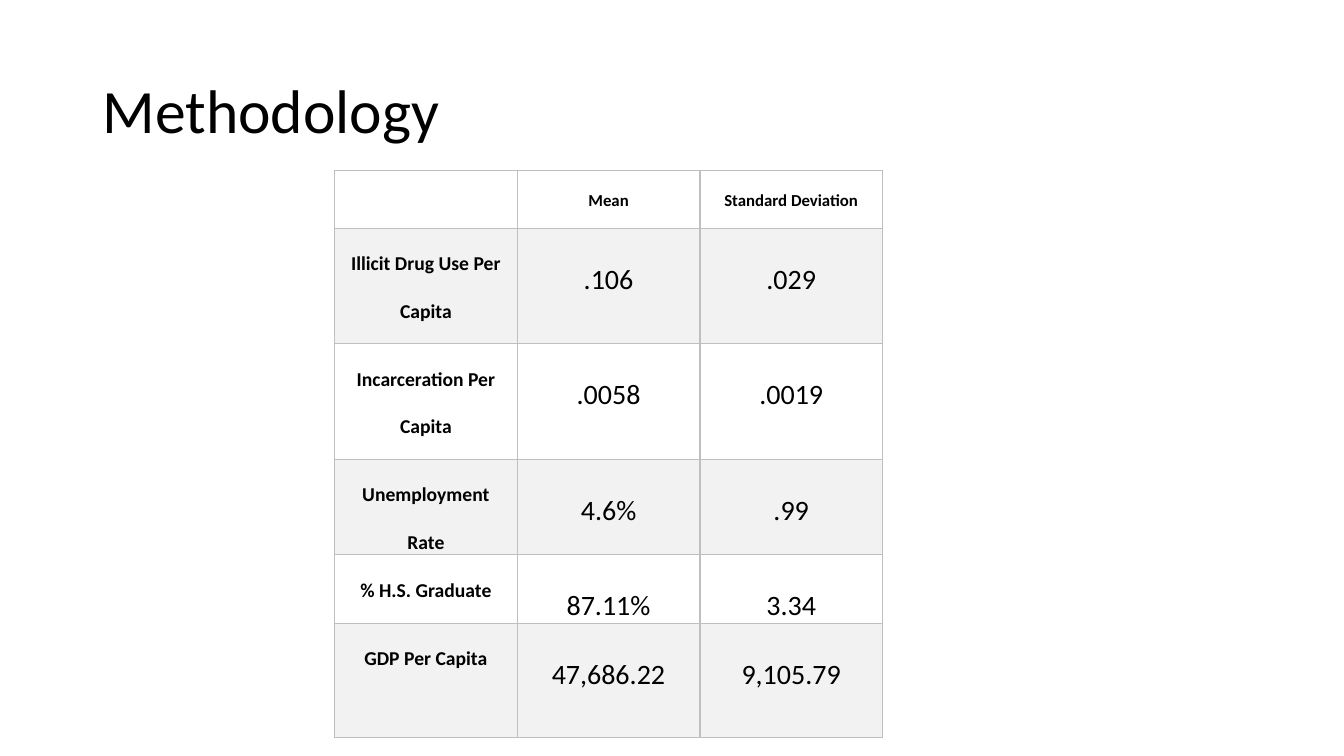
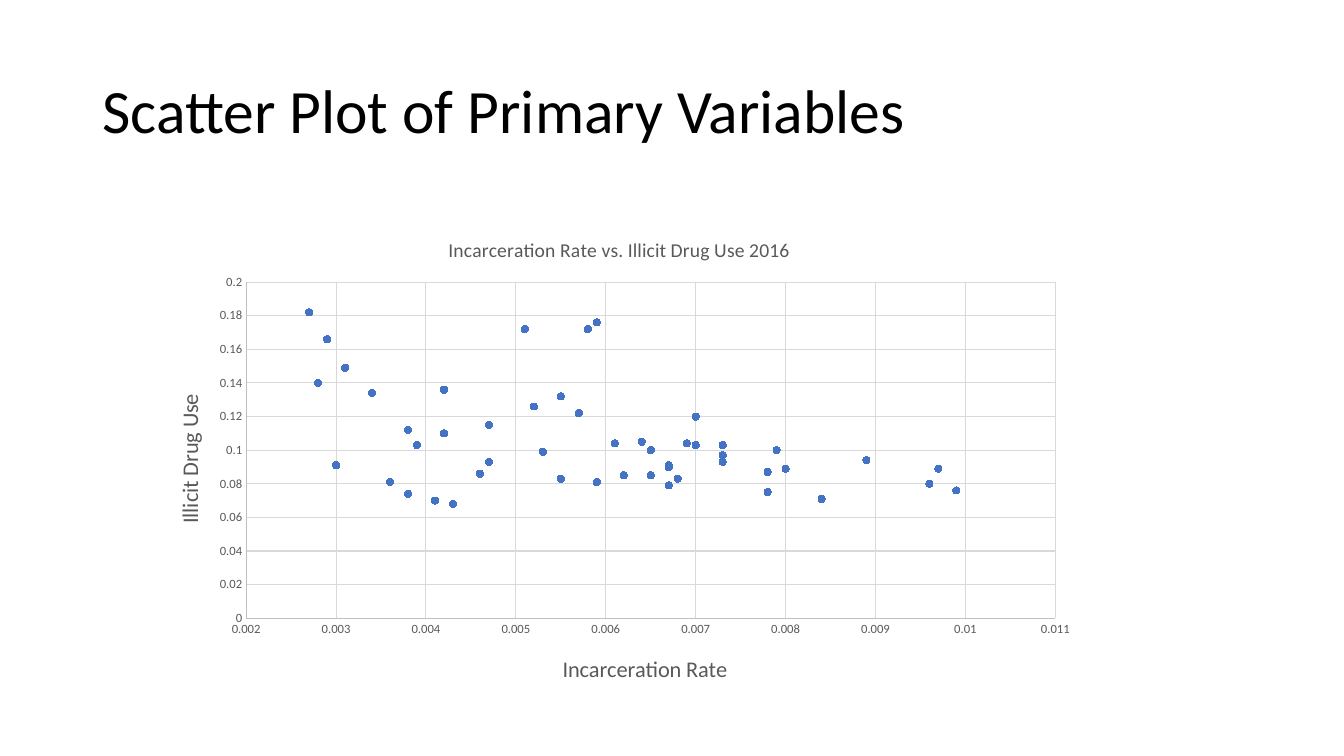
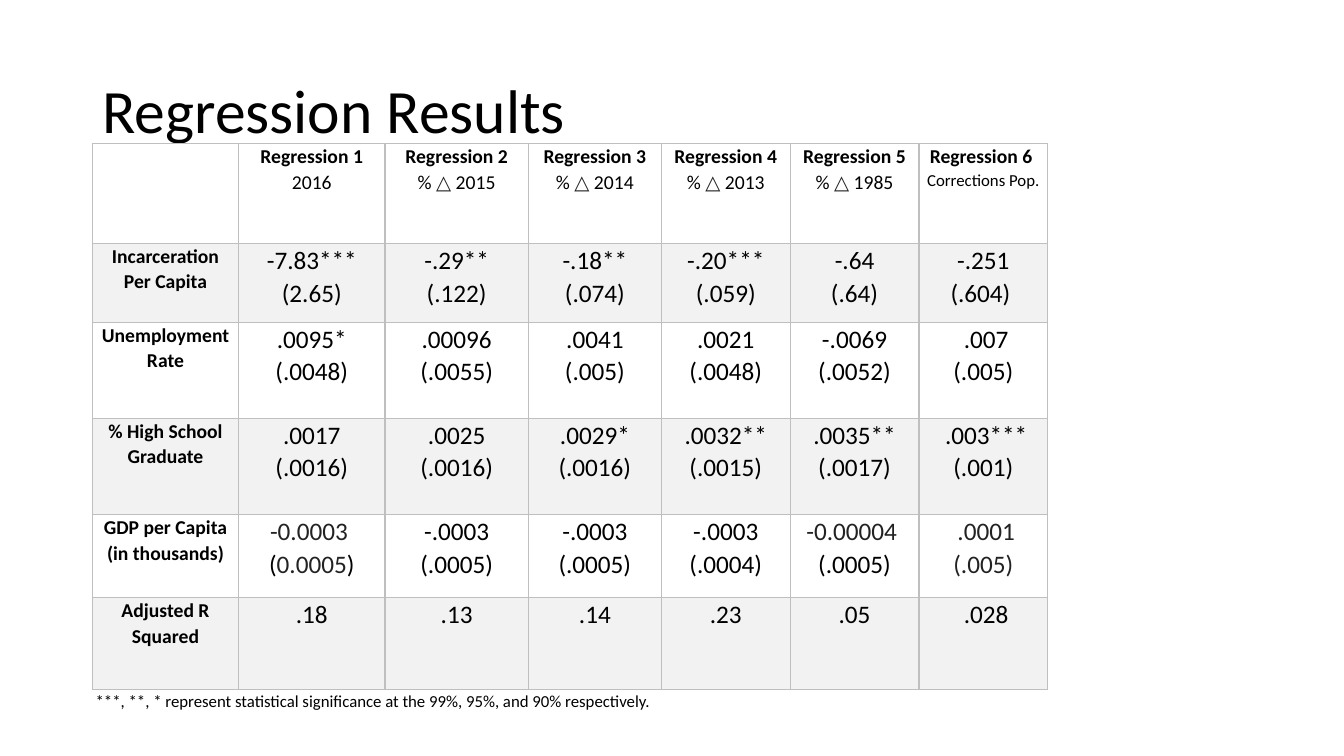
from itertools import product

from lxml import etree
from pptx import Presentation
from pptx.chart.data import XyChartData
from pptx.dml.color import RGBColor
from pptx.enum.chart import XL_CHART_TYPE as ChartType
from pptx.enum.chart import XL_MARKER_STYLE as Marker
from pptx.enum.chart import XL_TICK_MARK as Tick
from pptx.enum.text import MSO_ANCHOR as Anchor
from pptx.enum.text import PP_ALIGN as Align
from pptx.oxml import parse_xml
from pptx.oxml.ns import nsdecls, qn
from pptx.util import Pt

# Content: text between ~ marks is dark grey instead of black
SUMMARY = [
    ("", "Mean", "Standard Deviation"),
    ("Illicit Drug Use Per Capita", ".106", ".029"),
    ("Incarceration Per Capita", ".0058", ".0019"),
    ("Unemployment Rate", "4.6%", ".99"),
    ("% H.S. Graduate", "87.11%", "3.34"),
    ("GDP Per Capita", "47,686.22", "9,105.79"),
]
REGRESSIONS = [
    ("", "Regression 1\n2016", "Regression 2\n% ~△~ 2015", "Regression 3\n% ~△~ 2014",
     "Regression 4\n% ~△~ 2013", "Regression 5\n% ~△~ 1985",
     "Regression 6\u00a0\nCorrections Pop."),
    ("Incarceration Per Capita", "-7.83***\n(2.65)", "-.29**\n(.122)", "-.18**\n(.074)",
     "-.20***\n(.059)", "-.64\n(.64)", "-.251\n(.604)\u00a0"),
    ("Unemployment Rate", ".0095*\n(.0048)", ".00096\n(.0055)", ".0041\n(.005)",
     ".0021\n(.0048)", "-.0069\n(.0052)", "\u00a0.007\n(.005)"),
    ("% High School Graduate", ".0017\n(.0016)", ".0025\n(.0016)", ".0029*\n(.0016)",
     ".0032**\n(.0015)", ".0035**\n(.0017)", "\u00a0.003***\n(.001)"),
    ("GDP per Capita\n(in thousands)", "~-0.0003 ~\n(~0.0005~)", "-.0003\n(.0005)",
     "-.0003\n(.0005)", "-.0003\n(.0004)", "~-0.00004 ~\n(.0005)",
     "~\u00a0.0001~\n~(.005)~"),
    ("Adjusted R Squared", ".18", ".13", ".14", ".23", ".05", "\u00a0.028"),
]
FOOTNOTE = ("***, **, * represent statistical significance at the 99%, 95%, "
            "and 90% respectively.")
INCARCERATION = [
    0.0084, 0.0059, 0.0079, 0.008, 0.0052, 0.0058, 0.0042, 0.007, 0.0073, 0.0089,
    0.0039, 0.0067, 0.0047, 0.0065, 0.0043, 0.0059, 0.0078, 0.0097, 0.0031, 0.0047,
    0.0028, 0.0057, 0.003, 0.0096, 0.0073, 0.0055, 0.0046, 0.0069, 0.0034, 0.0036,
    0.007, 0.0038, 0.0053, 0.0041, 0.0061, 0.0099, 0.0051, 0.0064, 0.0029, 0.0065,
    0.0067, 0.0073, 0.0078, 0.0038, 0.0027, 0.0068, 0.0042, 0.0055, 0.0062, 0.0067]
DRUG_USE = [
    0.071, 0.176, 0.1, 0.089, 0.126, 0.172, 0.11, 0.103, 0.097, 0.094,
    0.103, 0.09, 0.093, 0.1, 0.068, 0.081, 0.087, 0.089, 0.149, 0.115,
    0.14, 0.122, 0.091, 0.08, 0.103, 0.132, 0.086, 0.104, 0.134, 0.081,
    0.12, 0.112, 0.099, 0.07, 0.104, 0.076, 0.172, 0.105, 0.166, 0.085,
    0.091, 0.093, 0.075, 0.074, 0.182, 0.083, 0.136, 0.083, 0.085, 0.079]

# Shared look
FONT, SYMBOL_FONT = "Calibri", "Cambria"
BLACK, DARK, WHITE, BAND = "000000", "222222", "FFFFFF", "F2F2F2"
BORDER, GRID, LABEL, DOT = "BFBFBF", "D9D9D9", "595959", "4472C4"
TITLE_BOX = (66, 28.75, 828, 104.5)


def rgb(value):
    return RGBColor.from_string(value)


def set_font(font, size, color=BLACK, bold=False, name=FONT):
    font.name, font.size, font.bold = name, Pt(size), bold
    font.color.rgb = rgb(color)


def add_page(title):
    page = deck.slides.add_slide(deck.slide_layouts[5])
    box = page.shapes.title
    box.left, box.top, box.width, box.height = map(Pt, TITLE_BOX)
    box.text_frame.text = title
    box.text_frame.vertical_anchor = Anchor.MIDDLE
    para = box.text_frame.paragraphs[0]
    para.alignment, para.line_spacing = Align.LEFT, 0.9
    set_font(para.font, 44)
    return page


def write_line(para, text, size, bold=False):
    for index, part in enumerate(text.split("~")):
        if part:
            span = para.add_run()
            span.text = part
            set_font(span.font, size, DARK if index % 2 else BLACK, bold,
                     SYMBOL_FONT if part == "△" else FONT)


def add_borders(cell):
    props = cell._tc.get_or_add_tcPr()
    for side in ("lnL", "lnR", "lnT", "lnB"):
        line = etree.SubElement(props, qn("a:" + side), w=str(Pt(1)))
        fill = etree.SubElement(line, qn("a:solidFill"))
        etree.SubElement(fill, qn("a:srgbClr"), val=BORDER)


def add_grid(page, rows, left, top, widths, heights, spacing, insets, style):
    """style(row, column, line) gives the text size and whether it is bold."""
    table = page.shapes.add_table(len(rows), len(widths), Pt(left), Pt(top),
                                  Pt(sum(widths)), Pt(sum(heights))).table
    table.first_row = table.horz_banding = False
    for column, width in zip(table.columns, widths):
        column.width = Pt(width)
    for row, height in zip(table.rows, heights):
        row.height = Pt(height)
    for r, c in product(range(len(rows)), range(len(widths))):
        cell = table.cell(r, c)
        add_borders(cell)
        cell.fill.solid()
        cell.fill.fore_color.rgb = rgb(BAND if r % 2 else WHITE)
        cell.margin_left = cell.margin_right = Pt(insets[c])
        cell.margin_top = cell.margin_bottom = 0
        for index, text in enumerate(rows[r][c].split("\n")):
            frame = cell.text_frame
            para = frame.add_paragraph() if index else frame.paragraphs[0]
            para.alignment, para.line_spacing = Align.CENTER, spacing
            write_line(para, text, *style(r, c, index))


def place(element, index, **fractions):
    """Fix a chart part at fractions of the chart's width and height."""
    for old in element.findall(qn("c:layout")):
        element.remove(old)
    inner = '<c:layoutTarget val="inner"/>' if "w" in fractions else ""
    modes = '<c:xMode val="edge"/><c:yMode val="edge"/>'
    sizes = "".join(f'<c:{key} val="{value}"/>' for key, value in fractions.items())
    element.insert(index, parse_xml(
        f'<c:layout {nsdecls("c")}><c:manualLayout>{inner}{modes}{sizes}'
        '</c:manualLayout></c:layout>'))


def write_chart_title(title, text, size, x, y):
    title.text_frame.text = text
    set_font(title.text_frame.paragraphs[0].runs[0].font, size, LABEL)
    place(title._element, 1, x=x, y=y)


def format_axis(axis, low, high, step):
    axis.minimum_scale, axis.maximum_scale, axis.major_unit = low, high, step
    axis.major_tick_mark = axis.minor_tick_mark = Tick.NONE
    axis.has_major_gridlines = True
    set_font(axis.tick_labels.font, 9, LABEL)
    axis.tick_labels.number_format = "General"
    axis.tick_labels.number_format_is_linked = False
    for line, color in ((axis.format.line, BORDER),
                        (axis.major_gridlines.format.line, GRID)):
        line.width = Pt(0.75)
        line.color.rgb = rgb(color)


deck = Presentation()
deck.slide_width, deck.slide_height = Pt(960), Pt(540)

# Methodology: summary table
page = add_page("Methodology")
add_grid(page, SUMMARY, 239, 121.75, [130.5] * 3, [41.25, 82.5, 82.5, 68, 49, 81.5],
         2.0, [5] * 3,
         lambda r, c, line: (12, True) if r == 0 else (14, True) if c == 0 else (20, False))

# Scatter plot
page = add_page("Scatter Plot of Primary Variables")
data = XyChartData()
points = data.add_series("Series 1")
for x, y in zip(INCARCERATION, DRUG_USE):
    points.add_data_point(x, y)
chart = page.shapes.add_chart(ChartType.XY_SCATTER, Pt(101.5), Pt(152.5), Pt(676),
                              Pt(350.5), data).chart
set_font(chart.font, 10)
chart.has_legend = False
chart.has_title = True
write_chart_title(chart.chart_title, "Incarceration Rate vs. Illicit Drug Use 2016",
                  14, 0.32, 0.04)
format_axis(chart.category_axis, 0.002, 0.011, 0.001)
format_axis(chart.value_axis, 0, 0.2, 0.02)
write_chart_title(chart.category_axis.axis_title, "Incarceration Rate", 16, 0.44, 0.89)
write_chart_title(chart.value_axis.axis_title, "Illicit Drug Use", 16, 0.03, 0.36)
plot = chart.plots[0]
plot.vary_by_categories = False
place(chart._chartSpace.chart.plotArea, 0, x=0.11, y=0.14, w=0.855, h=0.685)
series = plot.series[0]
series.format.line.fill.background()
series.marker.style, series.marker.size = Marker.CIRCLE, 5
series.marker.format.fill.solid()
series.marker.format.fill.fore_color.rgb = rgb(DOT)
series.marker.format.line.color.rgb = rgb(DOT)


# Regression results: footnote and table
def regression_style(row, column, line):
    if row == 0 and line:
        return (12 if column == 6 else 14), False
    return (14, True) if row == 0 or column == 0 else (18, False)


page = add_page("Regression Results")
box = page.shapes.add_textbox(Pt(61.25), Pt(489), Pt(426), Pt(22))
box.text_frame.word_wrap = True
note = box.text_frame.paragraphs[0]
note.line_spacing, note.space_after = 1.07, Pt(8)
write_line(note, FOOTNOTE, 12)
add_grid(page, REGRESSIONS, 66, 102.75, [104.5, 104.5, 102.5, 95, 92, 92, 92],
         [71.25, 56.25, 68.5, 69, 59.25, 65.5], 1.06, [3.5] * 6 + [0], regression_style)

deck.save("out.pptx")
